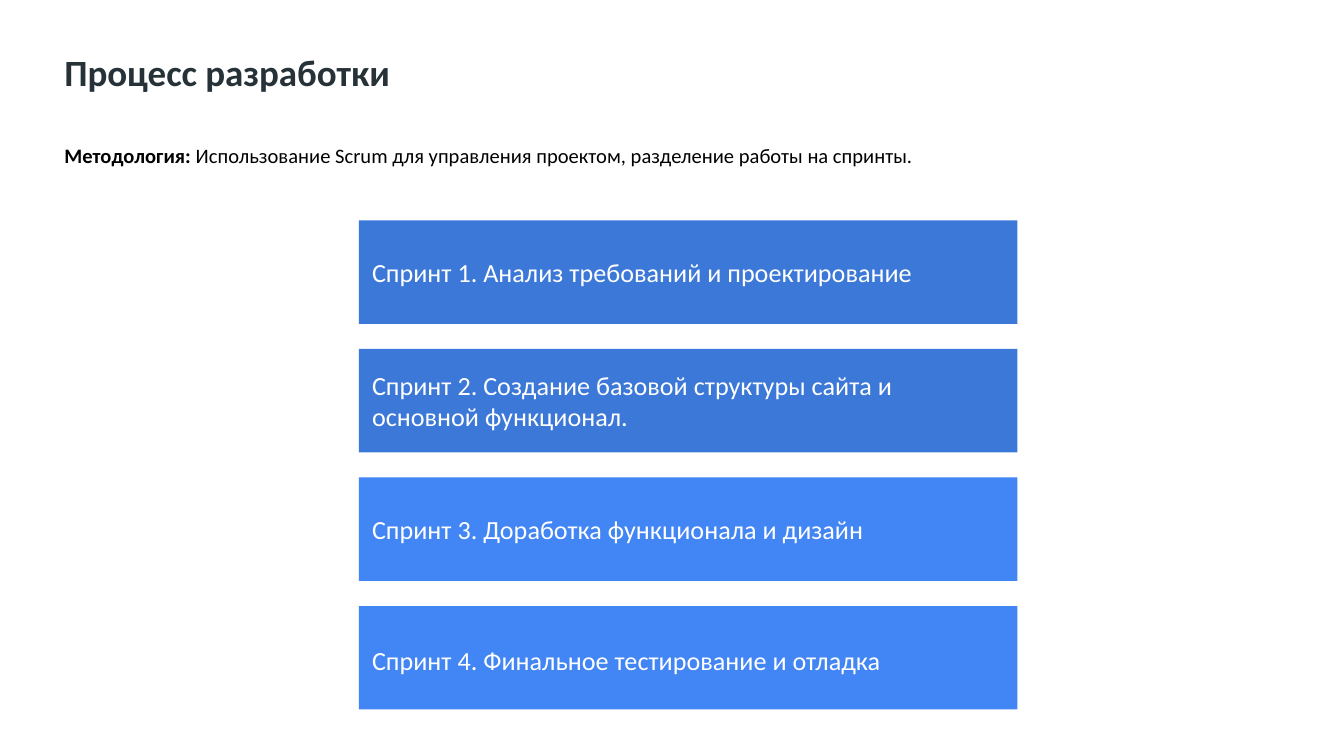
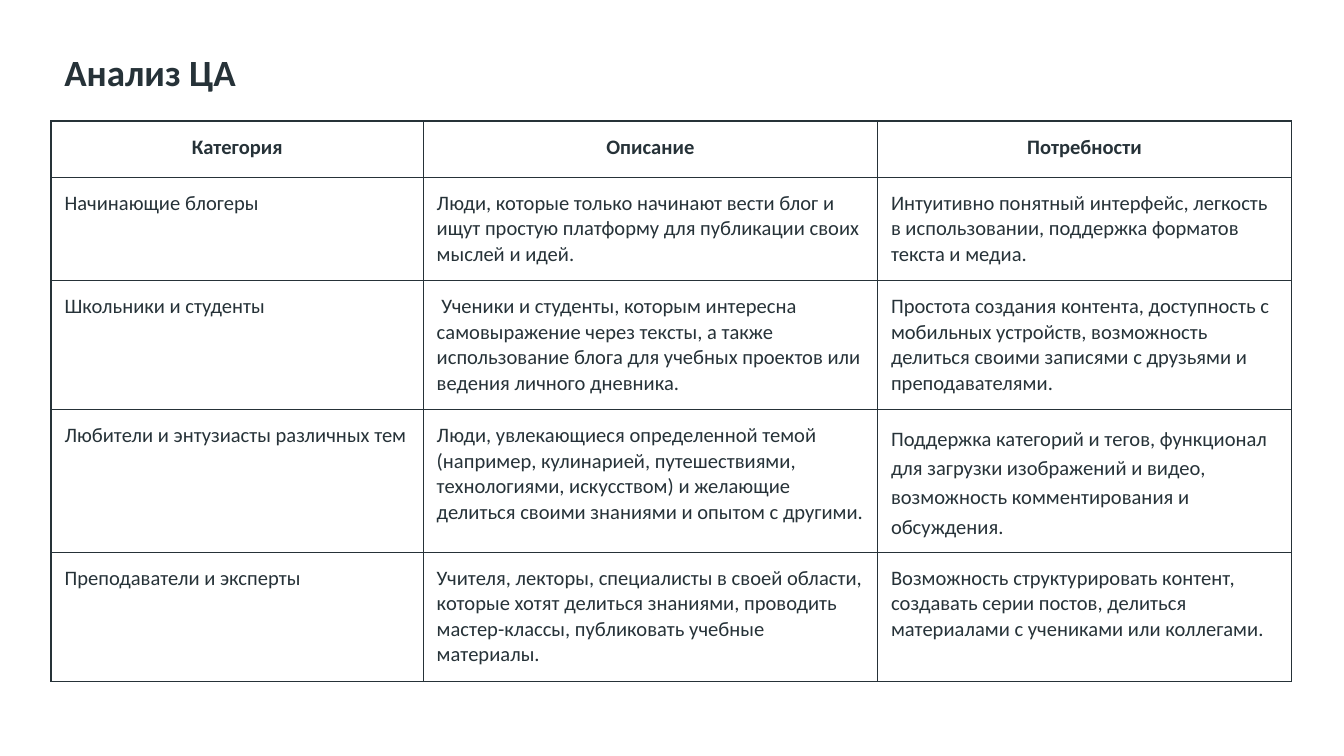
from dataclasses import dataclass

from lxml import etree
from pptx import Presentation
from pptx.dml.color import RGBColor
from pptx.enum.shapes import MSO_SHAPE
from pptx.enum.text import MSO_ANCHOR, MSO_AUTO_SIZE, PP_ALIGN
from pptx.oxml.ns import qn
from pptx.presentation import Presentation as Deck
from pptx.slide import Slide
from pptx.table import _Cell
from pptx.text.text import TextFrame, _Paragraph
from pptx.util import Inches, Pt

RECTANGLE = MSO_SHAPE.RECTANGLE
TOP, MIDDLE = MSO_ANCHOR.TOP, MSO_ANCHOR.MIDDLE
LEFT, CENTER = PP_ALIGN.LEFT, PP_ALIGN.CENTER
FIT_SHAPE = MSO_AUTO_SIZE.SHAPE_TO_FIT_TEXT

COLORS = {
    "ink": "263238",
    "black": "000000",
    "white": "FFFFFF",
    "early_sprint": "3C78D8",
    "late_sprint": "4285F4",
}
FONT = "Calibri"
SLIDE_WIDTH = Inches(10)
SLIDE_HEIGHT = SLIDE_WIDTH * 9 // 16
PADDING = Inches(0.1)
PADDED_SIDES = ("margin_left", "margin_right", "margin_top", "margin_bottom")
MARGIN_LEFT = Inches(0.38)
LOOSE_SPACING = {"line_spacing": 1.15, "space_before": Pt(12), "space_after": Pt(12)}


@dataclass(frozen=True)
class TextStyle:
    size: float
    color: str
    bold: bool = False


@dataclass(frozen=True)
class Sprint:
    text: str
    color: str
    loose: bool = False


@dataclass(frozen=True)
class Audience:
    category: str
    description: str
    needs: str
    height: float
    loose_needs: bool = False


TITLE = TextStyle(19.8, "ink", True)
METHOD_LABEL = TextStyle(11, "black", True)
METHOD_TEXT = TextStyle(11, "black")
SPRINT_TEXT = TextStyle(14, "white")
TABLE_HEADER = TextStyle(11, "ink", True)
TABLE_TEXT = TextStyle(11, "ink")

SPRINTS = [
    Sprint("Спринт 1. Анализ требований и проектирование", "early_sprint"),
    Sprint("Спринт 2. Создание базовой структуры сайта и основной функционал.", "early_sprint"),
    Sprint("Спринт 3. Доработка функционала и дизайн", "late_sprint"),
    Sprint("Спринт 4. Финальное тестирование и отладка", "late_sprint", loose=True),
]
SPRINT_LEFT, SPRINT_TOP, LAST_SPRINT_TOP = Inches(2.67), Inches(1.64), Inches(4.51)
SPRINT_WIDTH, SPRINT_HEIGHT = Inches(4.9), Inches(0.77)
SPRINT_STEP = (LAST_SPRINT_TOP - SPRINT_TOP) // (len(SPRINTS) - 1)

HEADERS = ["Категория", "Описание", "Потребности"]
AUDIENCES = [
    Audience(
        "Начинающие блогеры",
        "Люди, которые только начинают вести блог и ищут простую платформу "
        "для публикации своих мыслей и идей.",
        "Интуитивно понятный интерфейс, легкость в использовании, "
        "поддержка форматов текста и медиа.",
        height=0.77,
    ),
    Audience(
        "Школьники и студенты",
        " Ученики и студенты, которым интересна самовыражение через тексты, а также "
        "использование блога для учебных проектов или ведения личного дневника.",
        "Простота создания контента, доступность с мобильных устройств, "
        "возможность делиться своими записями с друзьями и преподавателями.",
        height=0.96,
    ),
    Audience(
        "Любители и энтузиасты различных тем",
        "Люди, увлекающиеся определенной темой (например, кулинарией, путешествиями, "
        "технологиями, искусством) и желающие делиться своими знаниями и опытом с другими.",
        "Поддержка категорий и тегов, функционал для загрузки изображений и видео, "
        "возможность комментирования и обсуждения.",
        height=1.06,
        loose_needs=True,
    ),
    Audience(
        "Преподаватели и эксперты",
        "Учителя, лекторы, специалисты в своей области, которые хотят делиться знаниями, "
        "проводить мастер-классы, публиковать учебные материалы.",
        "Возможность структурировать контент, создавать серии постов, "
        "делиться материалами с учениками или коллегами.",
        height=0.96,
    ),
]
COLUMN_WIDTHS = [Inches(2.77), Inches(3.38), Inches(3.08)]
ROW_HEIGHTS = [Inches(0.42)] + [Inches(audience.height) for audience in AUDIENCES]
TABLE_TOP = Inches(0.9)
BORDER_WIDTH = Pt(0.75)


def rgb(name: str) -> RGBColor:
    return RGBColor.from_string(COLORS[name])


def set_attributes(target: object, values: dict) -> None:
    for name, value in values.items():
        setattr(target, name, value)


def add_run(paragraph: _Paragraph, text: str, style: TextStyle) -> None:
    run = paragraph.add_run()
    run.text = text
    set_attributes(run.font, {"name": FONT, "size": Pt(style.size), "bold": style.bold})
    run.font.color.rgb = rgb(style.color)


def format_frame(frame: TextFrame, anchor: MSO_ANCHOR = TOP) -> _Paragraph:
    """Set wrapping, padding and anchor; return the first paragraph, left aligned."""
    set_attributes(frame, dict.fromkeys(PADDED_SIDES, PADDING))
    set_attributes(frame, {"word_wrap": True, "vertical_anchor": anchor})
    paragraph = frame.paragraphs[0]
    paragraph.alignment = LEFT
    return paragraph


def add_titled_slide(deck: Deck, title: str) -> Slide:
    slide = deck.slides.add_slide(deck.slide_layouts[6])
    box = slide.shapes.add_textbox(MARGIN_LEFT, Inches(0.27), Inches(9.32), Inches(0.63))
    add_run(format_frame(box.text_frame), title, TITLE)
    return slide


def add_methodology(slide: Slide) -> None:
    box = slide.shapes.add_textbox(MARGIN_LEFT, Inches(0.94), Inches(9.25), Inches(0.39))
    paragraph = format_frame(box.text_frame)
    box.text_frame.auto_size = FIT_SHAPE
    set_attributes(paragraph, LOOSE_SPACING)
    add_run(paragraph, "Методология:", METHOD_LABEL)
    add_run(
        paragraph,
        " Использование Scrum для управления проектом, разделение работы на спринты.",
        METHOD_TEXT,
    )


def add_sprint(slide: Slide, sprint: Sprint, index: int) -> None:
    top = SPRINT_TOP + index * SPRINT_STEP
    bar = slide.shapes.add_shape(RECTANGLE, SPRINT_LEFT, top, SPRINT_WIDTH, SPRINT_HEIGHT)
    bar.shadow.inherit = False
    bar.fill.solid()
    bar.fill.fore_color.rgb = rgb(sprint.color)
    bar.line.fill.background()
    paragraph = format_frame(bar.text_frame, MIDDLE)
    if sprint.loose:
        set_attributes(paragraph, LOOSE_SPACING)
    add_run(paragraph, sprint.text, SPRINT_TEXT)


def add_borders(cell: _Cell) -> None:
    properties = cell._tc.get_or_add_tcPr()
    for side in ("a:lnL", "a:lnR", "a:lnT", "a:lnB"):
        line = etree.SubElement(properties, qn(side), w=str(BORDER_WIDTH))
        fill = etree.SubElement(line, qn("a:solidFill"))
        etree.SubElement(fill, qn("a:srgbClr"), val=COLORS["ink"])


def fill_cell(cell: _Cell, text: str, style: TextStyle) -> _Paragraph:
    """Format a cell, write its text and return the paragraph."""
    set_attributes(cell, dict.fromkeys(PADDED_SIDES, PADDING))
    add_borders(cell)
    cell.fill.background()
    paragraph = cell.text_frame.paragraphs[0]
    add_run(paragraph, text, style)
    return paragraph


def add_audience_table(slide: Slide) -> None:
    table = slide.shapes.add_table(
        len(ROW_HEIGHTS), len(HEADERS), MARGIN_LEFT, TABLE_TOP, sum(COLUMN_WIDTHS), sum(ROW_HEIGHTS)
    ).table
    set_attributes(table, {"first_row": False, "horz_banding": False})
    for column, width in zip(table.columns, COLUMN_WIDTHS):
        column.width = width
    for row, height in zip(table.rows, ROW_HEIGHTS):
        row.height = height

    for column, header in enumerate(HEADERS):
        fill_cell(table.cell(0, column), header, TABLE_HEADER).alignment = CENTER
    for row, audience in enumerate(AUDIENCES, start=1):
        texts = (audience.category, audience.description, audience.needs)
        for column, text in enumerate(texts):
            paragraph = fill_cell(table.cell(row, column), text, TABLE_TEXT)
            paragraph.alignment = LEFT
        if audience.loose_needs:
            set_attributes(paragraph, LOOSE_SPACING)


def main() -> None:
    deck = Presentation()
    set_attributes(deck, {"slide_width": SLIDE_WIDTH, "slide_height": SLIDE_HEIGHT})

    process = add_titled_slide(deck, "Процесс разработки")
    add_methodology(process)
    for index, sprint in enumerate(SPRINTS):
        add_sprint(process, sprint, index)

    add_audience_table(add_titled_slide(deck, "Анализ ЦА"))
    deck.save("out.pptx")


if __name__ == "__main__":
    main()
